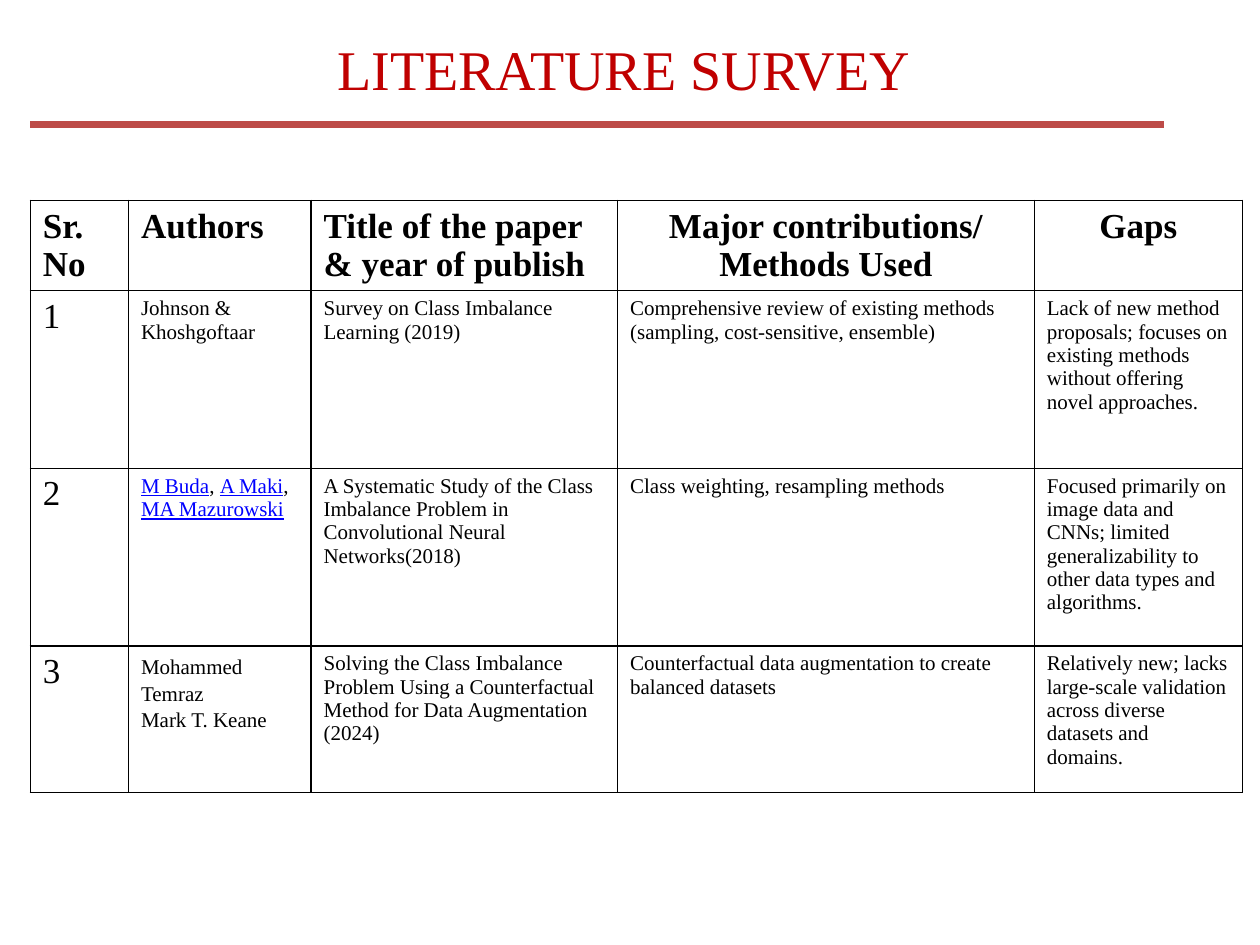
from lxml import etree
from pptx import Presentation
from pptx.dml.color import RGBColor
from pptx.enum.shapes import MSO_CONNECTOR
from pptx.enum.text import MSO_ANCHOR, PP_ALIGN
from pptx.oxml.ns import qn
from pptx.util import Cm, Pt

LEFT, CENTER = PP_ALIGN.LEFT, PP_ALIGN.CENTER
MIDDLE = MSO_ANCHOR.MIDDLE
STRAIGHT = MSO_CONNECTOR.STRAIGHT

COLORS = {
    "title": "C00000",
    "rule": "BD4B48",
    "text": "000000",
    "link": "0000FF",
    "border": "000000",
    "cell": "FFFFFF",
}
FONT = "Times New Roman"
TITLE_ONLY = 5

COLUMN_WIDTHS = [1.98, 3.68, 6.18, 8.4, 4.2]
ROW_HEIGHTS = [1.8, 3.58, 3.58, 2.95]
HEADINGS = [
    ["Sr. No"],
    ["Authors"],
    ["Title of the paper & year of publish"],
    ["Major contributions/", "Methods Used"],
    ["Gaps"],
]
HEADING_ALIGNMENTS = [LEFT, LEFT, LEFT, CENTER, CENTER]
LINKED_AUTHORS = [
    ("M Buda", True), (", ", False), ("A Maki", True), (", ", False),
    ("MA Mazurowski", True),
]
PAPERS = [
    [
        ["Johnson & Khoshgoftaar"],
        ["Survey on Class Imbalance Learning (2019)"],
        ["Comprehensive review of existing methods (sampling, cost-sensitive, ensemble)"],
        ["Lack of new method proposals; focuses on existing methods without "
         "offering novel approaches."],
    ],
    [
        [LINKED_AUTHORS],
        ["A Systematic Study of the Class Imbalance Problem in Convolutional "
         "Neural Networks(2018)"],
        ["Class weighting, resampling methods"],
        ["Focused primarily on image data and CNNs; limited generalizability to "
         "other data types and algorithms."],
    ],
    [
        ["Mohammed Temraz", "Mark T. Keane"],
        ["Solving the Class Imbalance Problem Using a Counterfactual Method for "
         "Data Augmentation (2024)"],
        ["Counterfactual data augmentation to create balanced datasets"],
        ["Relatively new; lacks large-scale validation across diverse datasets "
         "and domains."],
    ],
]


def rgb(name):
    return RGBColor.from_string(COLORS[name])


def add_run(paragraph, text, size, color="text", bold=False, underline=False):
    run = paragraph.add_run()
    run.text = text
    font = run.font
    font.name, font.size = FONT, Pt(size)
    font.bold, font.underline = bold, underline
    font.color.rgb = rgb(color)


def add_heading(slide, left, top, width, height):
    title = slide.shapes.title
    title.left, title.top = Cm(left), Cm(top)
    title.width, title.height = Cm(width), Cm(height)
    title.text_frame.vertical_anchor = MIDDLE
    paragraph = title.text_frame.paragraphs[0]
    paragraph.alignment = CENTER
    add_run(paragraph, "LITERATURE SURVEY ", 32, "title")


def add_rule(slide, left, top, width):
    rule = slide.shapes.add_connector(
        STRAIGHT, Cm(left), Cm(top), Cm(left + width), Cm(top))
    rule.line.color.rgb = rgb("rule")
    rule.line.width = Pt(3.5)
    etree.SubElement(rule._element.spPr, qn("a:effectLst"))


def style_cell(cell):
    properties = cell._tc.get_or_add_tcPr()
    for side in ("lnL", "lnR", "lnT", "lnB"):
        border = etree.SubElement(properties, qn(f"a:{side}"), w=str(Pt(1)))
        paint = etree.SubElement(border, qn("a:solidFill"))
        etree.SubElement(paint, qn("a:srgbClr"), val=COLORS["border"])
    cell.fill.solid()
    cell.fill.fore_color.rgb = rgb("cell")


def fill_cell(cell, lines, size, bold=False, alignment=LEFT, spacing=None):
    style_cell(cell)
    frame = cell.text_frame
    for index, line in enumerate(lines):
        paragraph = frame.add_paragraph() if index else frame.paragraphs[0]
        paragraph.alignment = alignment
        paragraph.line_spacing = spacing
        pieces = [(line, False)] if isinstance(line, str) else line
        for text, linked in pieces:
            add_run(paragraph, text, size, "link" if linked else "text", bold, linked)


def add_survey(slide, left, top):
    survey = slide.shapes.add_table(
        len(ROW_HEIGHTS), len(COLUMN_WIDTHS), Cm(left), Cm(top),
        Cm(sum(COLUMN_WIDTHS)), Cm(sum(ROW_HEIGHTS))).table
    survey.first_row = survey.horz_banding = False
    for column, width in zip(survey.columns, COLUMN_WIDTHS):
        column.width = Cm(width)
    for row, height in zip(survey.rows, ROW_HEIGHTS):
        row.height = Cm(height)

    for column, (heading, alignment) in enumerate(zip(HEADINGS, HEADING_ALIGNMENTS)):
        fill_cell(survey.cell(0, column), heading, 20, True, alignment)
    for number, paper in enumerate(PAPERS, start=1):
        fill_cell(survey.cell(number, 0), [str(number)], 20)
        for column, lines in enumerate(paper, start=1):
            spacing = 1.15 if len(lines) > 1 else None
            fill_cell(survey.cell(number, column), lines, 12, spacing=spacing)


def main():
    presentation = Presentation()
    presentation.slide_width, presentation.slide_height = Cm(25.4), Cm(19.05)
    slide = presentation.slides.add_slide(presentation.slide_layouts[TITLE_ONLY])
    add_heading(slide, 1.27, -0.23, 22.86, 3.2)
    add_survey(slide, 0.61, 4.04)
    add_rule(slide, 0.61, 2.51, 22.86)
    presentation.save("out.pptx")


if __name__ == "__main__":
    main()
